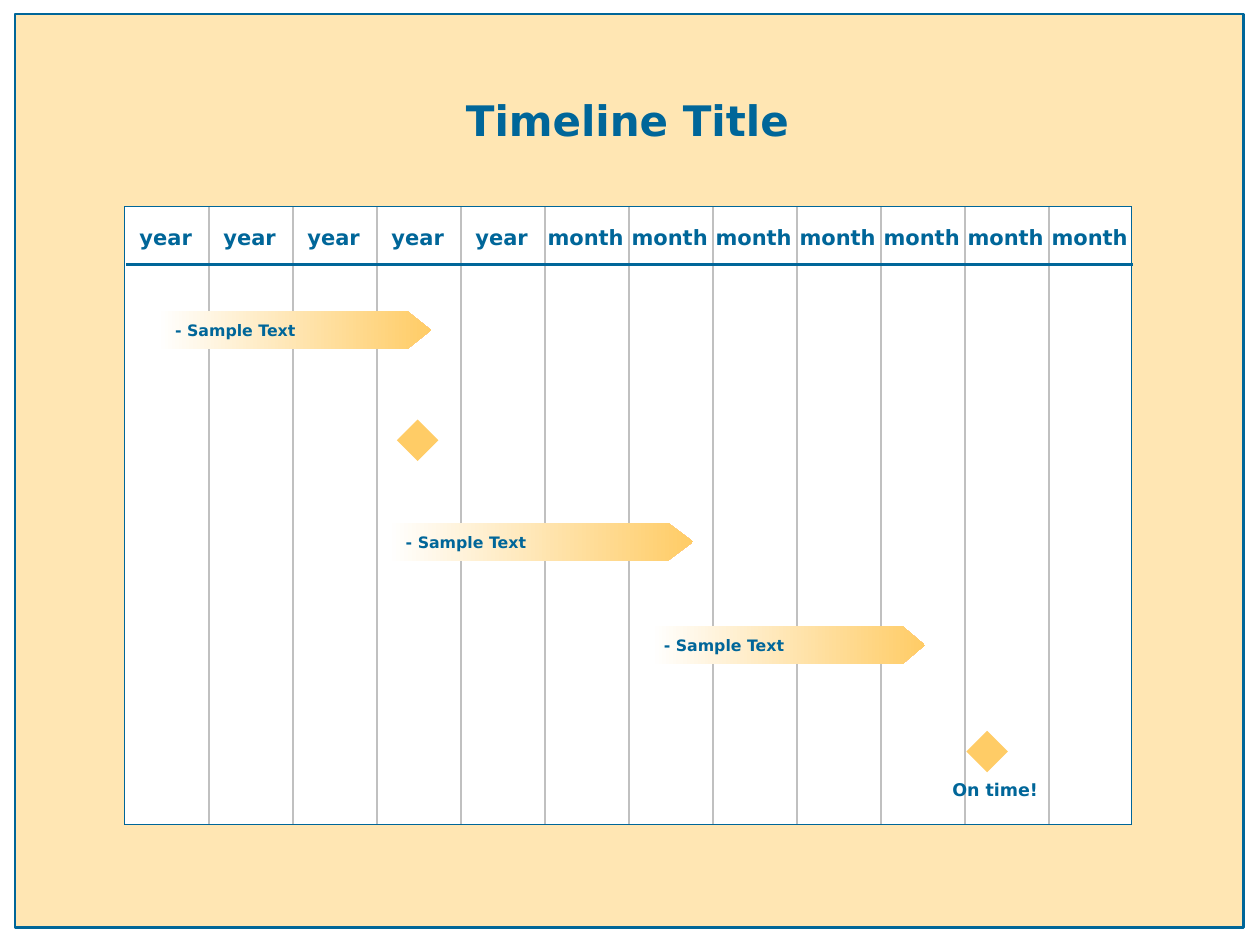
from dataclasses import dataclass

from lxml.etree import SubElement
from pptx import Presentation
from pptx.dml.color import RGBColor
from pptx.enum.shapes import MSO_CONNECTOR, MSO_SHAPE
from pptx.enum.text import MSO_ANCHOR, MSO_AUTO_SIZE, PP_ALIGN
from pptx.oxml.ns import qn
from pptx.util import Inches, Pt


@dataclass(frozen=True)
class Theme:
    font: str = "DejaVu Sans"
    blue: RGBColor = RGBColor.from_string("006699")
    cream: RGBColor = RGBColor.from_string("FFE6B3")
    amber: RGBColor = RGBColor.from_string("FFCC66")
    white: RGBColor = RGBColor.from_string("FFFFFF")
    black: RGBColor = RGBColor.from_string("000000")
    gray: RGBColor = RGBColor.from_string("C0C0C0")
    title_size: Pt = Pt(24)
    header_size: Pt = Pt(12)
    milestone_size: Pt = Pt(10)
    bar_size: Pt = Pt(9)


theme = Theme()


def add_box(kind, bounds, fill=None, line=None, line_width=0.5):
    shape = slide.shapes.add_shape(kind, *map(Inches, bounds))
    shape.shadow.inherit = False
    if fill is None:
        shape.fill.background()
    else:
        shape.fill.solid()
        shape.fill.fore_color.rgb = fill
    if line is None:
        shape.line.fill.background()
    else:
        shape.line.color.rgb = line
        shape.line.width = Pt(line_width)
    return shape


def write_text(shape, text, size, alignment=PP_ALIGN.LEFT, wrap=False, inset=0.1):
    frame = shape.text_frame
    frame.text = text
    frame_format = {
        "word_wrap": wrap,
        "auto_size": MSO_AUTO_SIZE.NONE,
        "vertical_anchor": MSO_ANCHOR.MIDDLE,
        "margin_left": Inches(inset),
        "margin_right": Inches(inset),
        "margin_top": Inches(inset / 2),
        "margin_bottom": Inches(inset / 2),
    }
    for name, value in frame_format.items():
        setattr(frame, name, value)
    paragraph = frame.paragraphs[0]
    paragraph.alignment = alignment
    for name, value in {"name": theme.font, "size": size, "bold": True}.items():
        setattr(paragraph.font, name, value)
    paragraph.font.color.rgb = theme.blue
    return paragraph


presentation = Presentation()
presentation.slide_width = Inches(10)
presentation.slide_height = Inches(7.5)
slide = presentation.slides.add_slide(presentation.slide_layouts[5])
slide.background.fill.solid()
slide.background.fill.fore_color.rgb = theme.white

grid_left, grid_top, grid_width, grid_height = 0.99, 1.64, 7.99, 4.9
grid_bounds = (grid_left, grid_top, grid_width, grid_height)
headers = ["year"] * 5 + ["month"] * 7
column_width = 8 / len(headers)

add_box(MSO_SHAPE.RECTANGLE, (0.12, 0.11, 9.75, 7.25), theme.cream, theme.blue, 1.5)
add_box(MSO_SHAPE.RECTANGLE, grid_bounds, theme.white, theme.black)

title = slide.shapes.title
title_bounds = {"left": 0.3, "top": 0.73, "width": 9.36, "height": 0.5}
for name, value in title_bounds.items():
    setattr(title, name, Inches(value))
title_paragraph = write_text(
    title, "Timeline Title", theme.title_size, PP_ALIGN.CENTER, wrap=True
)
title_paragraph.line_spacing = 0.89
slide.shapes._spTree.append(title._element)

for column, label in enumerate(headers):
    header_left = grid_left + column * column_width
    header = add_box(
        MSO_SHAPE.RECTANGLE, (header_left, grid_top, 0.65, 0.49), theme.white
    )
    write_text(header, label, theme.header_size, PP_ALIGN.CENTER)

rules = []
for column in range(1, len(headers)):
    rule_left = grid_left + column * column_width
    rules.append((rule_left, grid_top, rule_left, 6.55, theme.gray, 1))
rules.append((1, 2.1, 8.99, 2.1, theme.blue, 1.5))

for start_x, start_y, end_x, end_y, color, width in rules:
    rule = slide.shapes.add_connector(
        MSO_CONNECTOR.STRAIGHT, *map(Inches, (start_x, start_y, end_x, end_y))
    )
    rule.line.color.rgb = color
    rule.line.width = Pt(width)
    SubElement(rule._element.spPr, qn("a:effectLst"))

bars = [
    (1.25, 2.47, 2.17, 0.62, 0.14),
    (3.08, 4.15, 2.42, 0.66, 0.14),
    (5.17, 4.97, 2.17, 0.59, 0.1),
]
for left, top, width, point, inset in bars:
    bar = add_box(MSO_SHAPE.PENTAGON, (left, top, width, 0.3))
    bar.adjustments[0] = point
    bar.fill.gradient()
    bar.fill.gradient_angle = 0
    for stop, color in zip(bar.fill.gradient_stops, (theme.white, theme.amber)):
        stop.color.rgb = color
    write_text(bar, "- Sample Text", theme.bar_size, inset=inset)

milestone_label = slide.shapes.add_textbox(*map(Inches, (7.46, 6.14, 0.83, 0.25)))
write_text(milestone_label, "On time!", theme.milestone_size)

for left, top in [(3.15, 3.33), (7.67, 5.8)]:
    add_box(MSO_SHAPE.DIAMOND, (left, top, 0.33, 0.33), theme.amber)

add_box(MSO_SHAPE.RECTANGLE, grid_bounds, line=theme.blue)

presentation.save("out.pptx")
